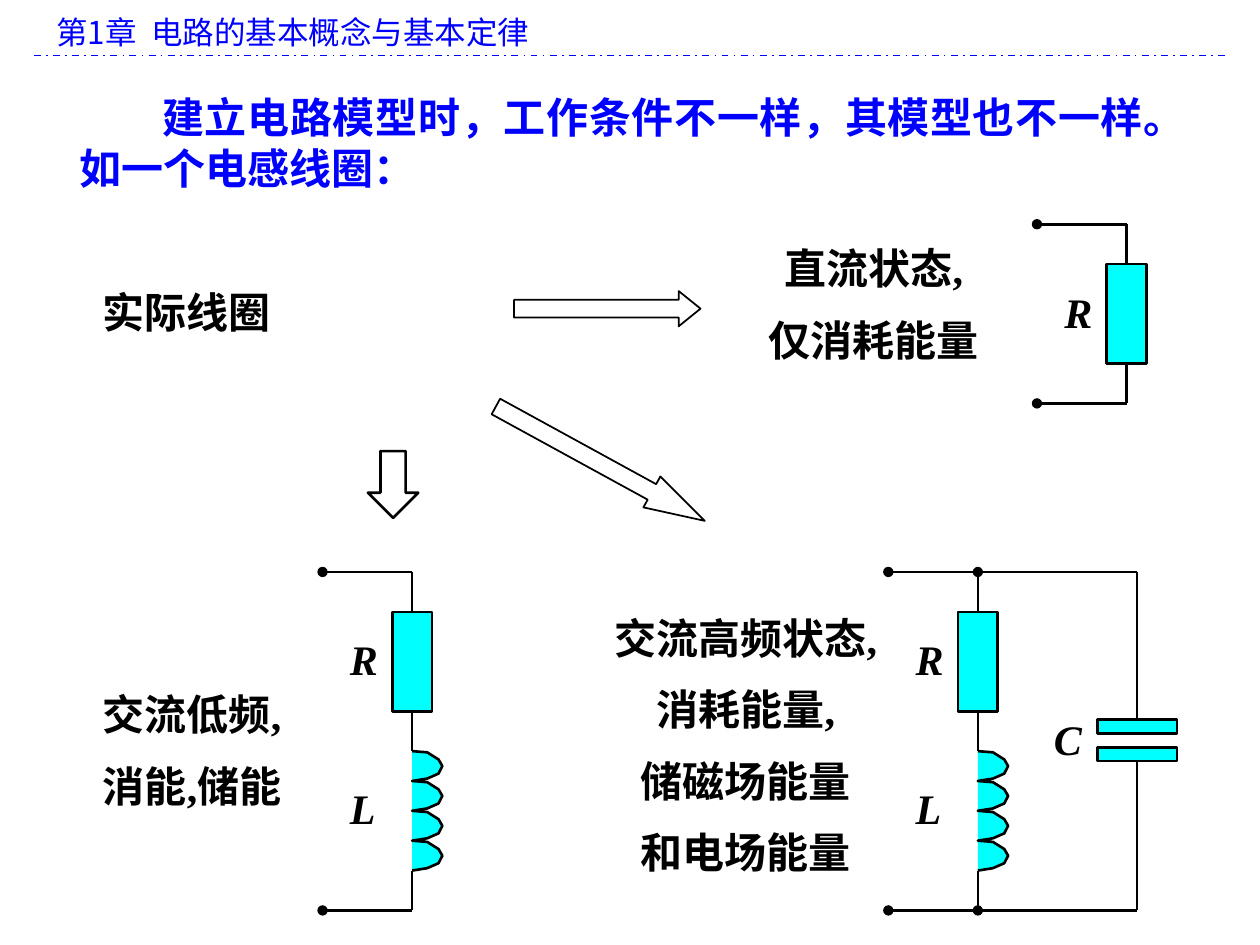
"""Builds the slide on circuit models of an inductor coil."""
from lxml.etree import SubElement
from pptx import Presentation
from pptx.dml.color import RGBColor
from pptx.enum.dml import MSO_LINE
from pptx.enum.shapes import MSO_CONNECTOR, MSO_SHAPE
from pptx.enum.text import MSO_ANCHOR, PP_ALIGN
from pptx.oxml.ns import qn
from pptx.util import Inches, Pt

W, H = 10, 7.5
UNIT = 0.158
BLUE, BLACK, CYAN, WHITE = "0000FF", "000000", "00FFFF", "FFFFFF"
SERIF, SANS = "Times New Roman", "Noto Sans CJK SC"

# Places are percentages of the slide's width and height.
HEADER = ((3.5, 0.67, 93.7, 5.33), "第1章  电路的基本概念与基本定律")
RULE = (2.7, 97.2, 5.87)
INTRO = ((5.3, 9.07, 89.8, 12), "建立电路模型时，工作条件不一样，其模型也不一样。如一个电感线圈：")
CAPTIONS = [
    ((4.8, 29.6, 20, 6.67), ["实际线圈"]),
    ((58.7, 24.8, 21.3, 14.67), ["直流状态,", "仅消耗能量"]),
    ((5.1, 72, 20.3, 14.67), ["交流低频,", "消能,储能"]),
    ((42.1, 63.47, 34.2, 30.67), ["交流高频状态,", "消耗能量,", "储磁场能量", "和电场能量"]),
]
CIRCUITS = [
    ((82.3, 23.73), "R"),
    ((25.6, 60.53), "RL"),
    ((70.5, 60.53), "RLC"),
]
ARROWS = [
    (MSO_SHAPE.RIGHT_ARROW, (38.2, 47.2, 18.9, 3.73), 28.7, 1.71, 1),
    (MSO_SHAPE.RIGHT_ARROW, (40.8, 30.8, 14.8, 3.73), 0, 0.62, 1),
    (MSO_SHAPE.DOWN_ARROW, (29.2, 47.73, 4, 7.07), 0, 0.5, 1.5),
]

# Circuit parts are in grid units.
TERMINAL, LEAD, RESISTOR, COIL, BRANCH = 4.5, 2, 5, 6, 8
TURNS = 4
TURN = [(0.76, 0.06), (1.33, 0.42), (1.52, 0.75), (1.33, 1.13), (0.76, 1.38), (0, 1.5)]
PLATE_W, PLATE_H, PLATE_ROWS = 4, 0.7, (7.4, 8.8)

prs = Presentation()
prs.slide_width, prs.slide_height = Inches(W), Inches(H)
shapes = prs.slides.add_slide(prs.slide_layouts[6]).shapes


def rgb(color):
    return RGBColor.from_string(color)


def share(at):
    return [v * (W, H)[i % 2] / 100 for i, v in enumerate(at)]


def style(s, fill, width=1.5):
    s.shadow.inherit = False
    s.fill.solid()
    s.fill.fore_color.rgb = rgb(fill)
    s.line.color.rgb = rgb(BLACK)
    s.line.width = Pt(width)


def add_preset(kind, box, fill, width=1.5):
    s = shapes.add_shape(kind, *map(Inches, box))
    style(s, fill, width)
    return s


def add_text(box, lines, size=24, font=SERIF, color=BLACK, bold=True, italic=False,
             align=PP_ALIGN.LEFT, anchor=MSO_ANCHOR.TOP, indent=0):
    s = shapes.add_textbox(*map(Inches, box))
    tf = s.text_frame
    tf.word_wrap, tf.vertical_anchor = True, anchor
    for i, line in enumerate(lines):
        p = tf.paragraphs[0] if i == 0 else tf.add_paragraph()
        p.alignment = align
        if i:
            p.space_before = Pt(size / 2)
        if indent:
            p._p.get_or_add_pPr().set("indent", str(Inches(indent)))
        r = p.add_run()
        r.text = line
        f = r.font
        f.size, f.name, f.bold, f.italic = Pt(size), font, bold, italic
        f.color.rgb = rgb(color)
        SubElement(r._r.get_or_add_rPr(), qn("a:ea")).set("typeface", SANS)


def add_line(start, end, color=BLACK, width=1.5, dot=False):
    s = shapes.add_connector(MSO_CONNECTOR.STRAIGHT, *map(Inches, (*start, *end)))
    s.line.color.rgb = rgb(color)
    s.line.width = Pt(width)
    if dot:
        SubElement(s.line._get_or_add_ln(), qn("a:headEnd")).set("type", "oval")
    SubElement(s._element.spPr, qn("a:effectLst"))
    return s


def add_circuit(origin, parts):
    left, top = share(origin)

    def at(col, row):
        return left + col * UNIT, top + row * UNIT

    def block(col, row, w, h):
        return add_preset(MSO_SHAPE.RECTANGLE, (*at(col - w / 2, row), w * UNIT, h * UNIT), CYAN)

    def label(text, col, row):
        add_text((*at(col, row), 0.43, 0.5), [text], italic=True)

    x, coil_row = TERMINAL, 2 * LEAD + RESISTOR
    bottom = coil_row + (COIL + LEAD if "L" in parts else 0)
    for row in (0, bottom):
        add_line(at(0, row), at(x, row), dot=True)
    resistor = block(x, LEAD, 2, RESISTOR)
    add_line(at(x, 0), at(x, LEAD)).end_connect(resistor, 0)
    add_line(at(x, LEAD + RESISTOR), at(x, coil_row)).begin_connect(resistor, 2)
    label("R", x - 3.75, 2.8)

    if "L" in parts:
        points = [at(x + dx, coil_row + n * COIL / TURNS + dy)
                  for n in range(TURNS) for dx, dy in TURN]
        builder = shapes.build_freeform(*map(Inches, at(x, coil_row)), scale=1.0)
        builder.add_line_segments([tuple(map(Inches, pt)) for pt in points], close=False)
        style(builder.convert_to_shape(), CYAN)
        add_line(at(x, coil_row + COIL), at(x, bottom))
        label("L", x - 3.75, 10.25)

    if "C" in parts:
        col = x + BRANCH
        upper, lower = (block(col, row, PLATE_W, PLATE_H) for row in PLATE_ROWS)
        add_line(at(col, 0), at(col, PLATE_ROWS[0])).end_connect(upper, 0)
        add_line(at(col, PLATE_ROWS[1] + PLATE_H), at(col, bottom)).begin_connect(lower, 2)
        for row in (0, bottom):
            add_line(at(x, row), at(col, row), dot=True)
        label("C", x + 3.2, 6.8)


add_text(share(HEADER[0]), [HEADER[1]], 18, SANS, BLUE, bold=False)
x1, x2, y = RULE
add_line(share((x1, y)), share((x2, y)), BLUE, 1).line.dash_style = MSO_LINE.DASH_DOT
add_text(share(INTRO[0]), [INTRO[1]], color=BLUE, align=PP_ALIGN.JUSTIFY,
         anchor=MSO_ANCHOR.MIDDLE, indent=0.66)
for box, lines in CAPTIONS:
    add_text(share(box), lines, align=PP_ALIGN.CENTER, anchor=MSO_ANCHOR.MIDDLE)
for origin, parts in CIRCUITS:
    add_circuit(origin, parts)
for kind, box, angle, head, width in ARROWS:
    s = add_preset(kind, share(box), WHITE, width)
    s.adjustments[0], s.adjustments[1] = 0.5, head
    s.rotation = angle

prs.save("out.pptx")
